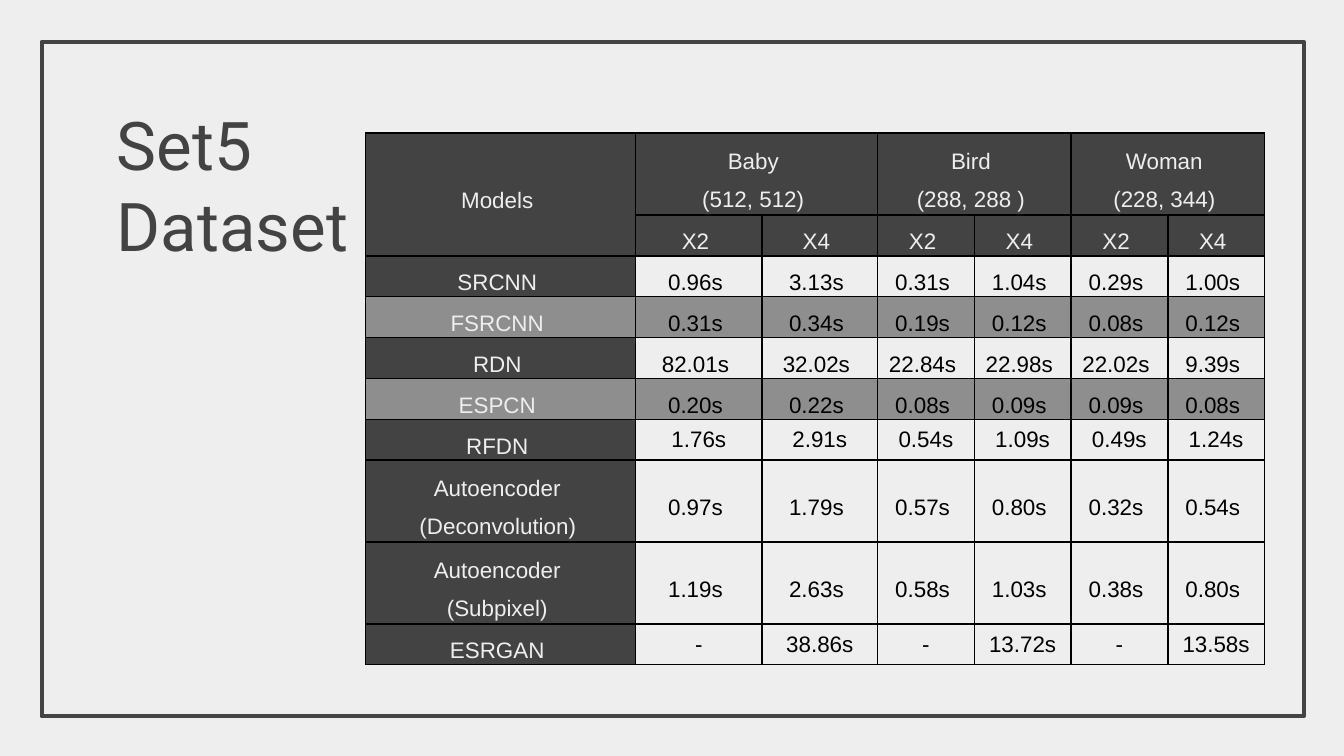
"""Build a slide with a table of model run times on the Set5 dataset."""
from dataclasses import dataclass
from itertools import accumulate

from lxml import etree
from pptx import Presentation, util as u
from pptx.dml.color import RGBColor
from pptx.enum import shapes, text
from pptx.oxml.ns import qn


@dataclass(frozen=True)
class Theme:
    """Colours, fonts and sizes of the slide."""
    background: str = "EEEEEE"
    dark: str = "434343"
    band: str = "8E8E8E"
    black: str = "000000"
    title_font: str = "Roboto"
    table_font: str = "Arial"
    title_size: float = 36
    table_size: float = 12
    line_spacing: float = 1.52


@dataclass(frozen=True)
class Model:
    """One table row: model label, run times and look."""
    label: str
    times: tuple[str, ...]
    banded: bool = False
    plain: bool = False
    lines: int = 1


THEME = Theme()
IMAGES = ("Baby\n(512, 512)", "Bird\n(288, 288 )", "Woman\n(228, 344)")
SCALES = ("X2", "X4")
MODELS = (
    Model("SRCNN", ("0.96s", "3.13s", "0.31s", "1.04s", "0.29s", "1.00s")),
    Model("FSRCNN", ("0.31s", "0.34s", "0.19s", "0.12s", "0.08s", "0.12s"), banded=True),
    Model("RDN", ("82.01s", "32.02s", "22.84s", "22.98s", "22.02s", "9.39s")),
    Model("ESPCN", ("0.20s", "0.22s", "0.08s", "0.09s", "0.09s", "0.08s"), banded=True),
    Model("RFDN", ("1.76s", "2.91s", "0.54s", "1.09s", "0.49s", "1.24s"), plain=True),
    Model("Autoencoder (Deconvolution)",
          ("0.97s", "1.79s", "0.57s", "0.80s", "0.32s", "0.54s"), lines=2),
    Model("Autoencoder\n(Subpixel)",
          ("1.19s", "2.63s", "0.58s", "1.03s", "0.38s", "0.80s"), lines=2),
    Model("ESRGAN", ("-", "38.86s", "-", "13.72s", "-", "13.58s"), plain=True),
)
COLUMN_WIDTHS = (2.01, 0.94, 0.86) + (0.72,) * 4
LINE_HEIGHT = 1.15 / 4
ROW_LINES = (2, 1) + tuple(model.lines for model in MODELS)


def colour(value: str) -> RGBColor:
    """Turn a hex value into a colour."""
    return RGBColor.from_string(value)


def write(frame, content: str, *, font: str, size: float, color: str,
          align=text.PP_ALIGN.LEFT, spacing: float | None = None) -> None:
    """Write one paragraph per line, with vertical tabs as line breaks."""
    for index, line in enumerate(content.split("\n")):
        paragraph = frame.add_paragraph() if index else frame.paragraphs[0]
        paragraph.text = line
        paragraph.alignment = align
        if spacing:
            paragraph.line_spacing = spacing
            properties = paragraph._p.get_or_add_pPr()
            for name, inches in (("marL", 0.01), ("marR", 0.05), ("indent", -0.01)):
                properties.set(name, str(u.Inches(inches)))
        for run in paragraph.runs:
            run.font.name = font
            run.font.size = u.Pt(size)
            run.font.color.rgb = colour(color)


def prepare_cell(cell) -> None:
    """Give an empty cell thin borders, tight margins and no fill."""
    properties = cell._tc.get_or_add_tcPr()
    for side in ("lnL", "lnR", "lnT", "lnB"):
        line = etree.SubElement(properties, qn(f"a:{side}"), w=str(u.Pt(1)))
        fill = etree.SubElement(line, qn("a:solidFill"))
        etree.SubElement(fill, qn("a:srgbClr"), val=THEME.black)
    cell.fill.background()
    cell.vertical_anchor = text.MSO_ANCHOR.MIDDLE
    cell.margin_left = cell.margin_right = u.Inches(0.07)
    cell.margin_top = cell.margin_bottom = 0
    if cell.is_spanned:
        etree.SubElement(cell.text_frame.paragraphs[0]._p, qn("a:endParaRPr"),
                         sz=str(THEME.table_size * 100))


def fill_cell(cell, content: str, *, color: str, fill: str | None = None,
              plain: bool = False) -> None:
    """Write centred text in a cell and colour its background."""
    if fill:
        cell.fill.solid()
        cell.fill.fore_color.rgb = colour(fill)
    write(cell.text_frame, content, font=THEME.table_font, size=THEME.table_size,
          color=color, align=text.PP_ALIGN.CENTER,
          spacing=None if plain else THEME.line_spacing)


def add_frame(slide) -> None:
    """Draw the outline around the slide."""
    shape = slide.shapes.add_shape(shapes.MSO_SHAPE.RECTANGLE, u.Inches(0.31),
                                   u.Inches(0.31), u.Inches(9.39), u.Inches(5.02))
    shape.shadow.inherit = False
    shape.fill.background()
    shape.line.color.rgb = colour(THEME.dark)
    shape.line.width = u.Pt(2.25)


def add_title(slide) -> None:
    """Add the slide title."""
    shape = slide.shapes.add_textbox(u.Inches(0.77), u.Inches(0.67),
                                     u.Inches(2.06), u.Inches(0.81))
    frame = shape.text_frame
    frame.word_wrap = True
    frame.margin_left = frame.margin_right = u.Inches(0.1)
    frame.margin_top = frame.margin_bottom = u.Inches(0.1)
    write(frame, "Set5\vDataset", font=THEME.title_font, size=THEME.title_size,
          color=THEME.dark)


def add_times_table(slide) -> None:
    """Add the table of run times."""
    table = slide.shapes.add_table(
        len(ROW_LINES), len(COLUMN_WIDTHS), u.Inches(2.72), u.Inches(0.99),
        u.Inches(sum(COLUMN_WIDTHS)), u.Inches(sum(ROW_LINES) * LINE_HEIGHT)).table
    table.first_row = table.horz_banding = False
    for column, width in zip(table.columns, COLUMN_WIDTHS):
        column.width = u.Inches(width)
    for row, lines in zip(table.rows, ROW_LINES):
        row.height = u.Inches(lines * LINE_HEIGHT)

    starts = tuple(accumulate([1] + [len(SCALES)] * (len(IMAGES) - 1)))
    table.cell(0, 0).merge(table.cell(1, 0))
    for start in starts:
        table.cell(0, start).merge(table.cell(0, start + len(SCALES) - 1))
    for cell in table.iter_cells():
        prepare_cell(cell)

    header = {"color": THEME.background, "fill": THEME.dark}
    fill_cell(table.cell(0, 0), "Models", **header)
    for start, image in zip(starts, IMAGES):
        fill_cell(table.cell(0, start), image, **header)
        for offset, scale in enumerate(SCALES):
            fill_cell(table.cell(1, start + offset), scale, **header)

    for row, model in enumerate(MODELS, start=2):
        band = THEME.band if model.banded else None
        fill_cell(table.cell(row, 0), model.label, color=THEME.background,
                  fill=band or THEME.dark)
        for column, time in enumerate(model.times, start=1):
            fill_cell(table.cell(row, column), time, color=THEME.black,
                      fill=band, plain=model.plain)


def main() -> None:
    """Build and save the presentation."""
    presentation = Presentation()
    presentation.slide_width = u.Inches(10)
    presentation.slide_height = u.Inches(10 * 9 / 16)
    slide = presentation.slides.add_slide(presentation.slide_layouts[6])
    slide.background.fill.solid()
    slide.background.fill.fore_color.rgb = colour(THEME.background)
    add_frame(slide)
    add_title(slide)
    add_times_table(slide)
    presentation.save("out.pptx")


if __name__ == "__main__":
    main()
